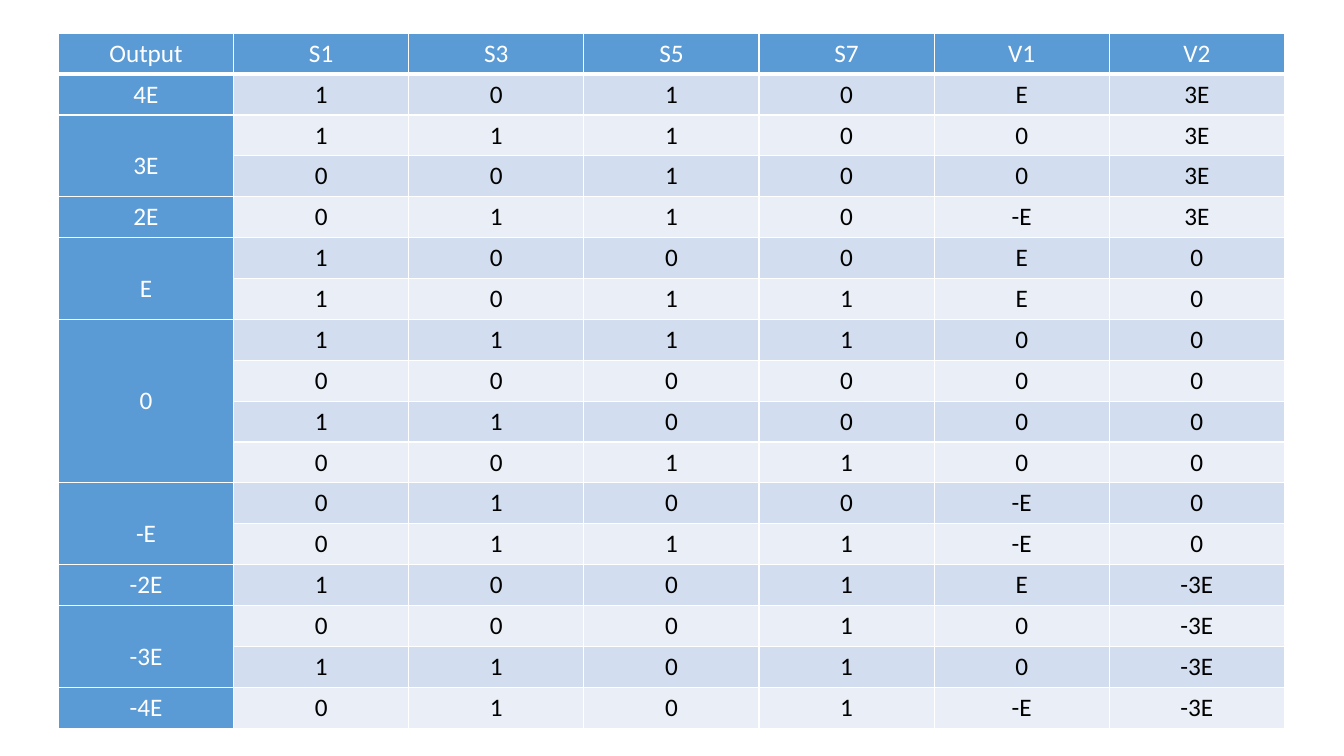
from lxml.etree import SubElement
from pptx import Presentation
from pptx.dml.color import RGBColor
from pptx.enum.text import PP_ALIGN
from pptx.oxml.ns import qn
from pptx.util import Inches, Pt

COLOURS = {"heading": "5B9BD5", "odd": "D2DEEF", "even": "EAEFF7",
           "light": "FFFFFF", "dark": "000000"}
HEADINGS = ["Output", "S1", "S3", "S5", "S7", "V1", "V2"]
# Each output level with its line spacing and its switching states
LEVELS = [
    ("4E", 1, ["1 0 1 0 E 3E"]),
    ("3E", 2, ["1 1 1 0 0 3E", "0 0 1 0 0 3E"]),
    ("2E", 1, ["0 1 1 0 -E 3E"]),
    ("E", 2, ["1 0 0 0 E 0", "1 0 1 1 E 0"]),
    ("0", 3, ["1 1 1 1 0 0", "0 0 0 0 0 0", "1 1 0 0 0 0", "0 0 1 1 0 0"]),
    ("-E", 2, ["0 1 0 0 -E 0", "0 1 1 1 -E 0"]),
    ("-2E", 1, ["1 0 0 1 E -3E"]),
    ("-3E", 2, ["0 0 0 1 0 -3E", "1 1 0 1 0 -3E"]),
    ("-4E", 1, ["0 1 0 1 -E -3E"]),
]
COLUMN_WIDTH, ROW_HEIGHT = Inches(12.16 / 7), Inches(0.4)


def add_borders(cell, bottom_width):
    """Draw white cell borders, 1 pt wide except at the bottom."""
    properties = cell._tc.get_or_add_tcPr()
    widths = {"a:lnL": 1, "a:lnR": 1, "a:lnT": 1, "a:lnB": bottom_width}
    for tag, width in widths.items():
        line = SubElement(properties, qn(tag), w=str(Pt(width)))
        fill = SubElement(line, qn("a:solidFill"))
        SubElement(fill, qn("a:srgbClr"), val=COLOURS["light"])


def write_cell(cell, text, fill, font_colour, line_spacing=1):
    """Fill a cell and write its centred text."""
    cell.fill.solid()
    cell.fill.fore_color.rgb = RGBColor.from_string(COLOURS[fill])
    cell.text = text
    paragraph = cell.text_frame.paragraphs[0]
    paragraph.alignment = PP_ALIGN.CENTER
    if line_spacing != 1:
        paragraph.line_spacing = float(line_spacing)
    font_format = {"name": "Calibri", "size": Pt(18), "bold": False}
    for attribute, value in font_format.items():
        setattr(paragraph.font, attribute, value)
        for run in paragraph.runs:
            setattr(run.font, attribute, value)
    for run in paragraph.runs:
        run.font.color.rgb = RGBColor.from_string(COLOURS[font_colour])


presentation = Presentation()
presentation.slide_width, presentation.slide_height = Inches(13.33), Inches(7.5)
slide = presentation.slides.add_slide(presentation.slide_layouts[6])

row_count = 1 + sum(len(states) for _, _, states in LEVELS)
table = slide.shapes.add_table(
    row_count, len(HEADINGS), Inches(0.58), Inches(0.33),
    COLUMN_WIDTH * len(HEADINGS), ROW_HEIGHT * row_count).table
for column in table.columns:
    column.width = COLUMN_WIDTH
for row_index, row in enumerate(table.rows):
    row.height = ROW_HEIGHT
    for cell in row.cells:
        add_borders(cell, 3 if row_index == 0 else 1)

for column_index, heading in enumerate(HEADINGS):
    write_cell(table.cell(0, column_index), heading, "heading", "light")

row_index = 1
for output, line_spacing, states in LEVELS:
    output_cell = table.cell(row_index, 0)
    if len(states) > 1:
        output_cell.merge(table.cell(row_index + len(states) - 1, 0))
    write_cell(output_cell, output, "heading", "light", line_spacing)
    for state in states:
        band = "odd" if row_index % 2 else "even"
        for column_index, value in enumerate(state.split(), start=1):
            write_cell(table.cell(row_index, column_index), value, band, "dark")
        row_index += 1

presentation.save("out.pptx")
